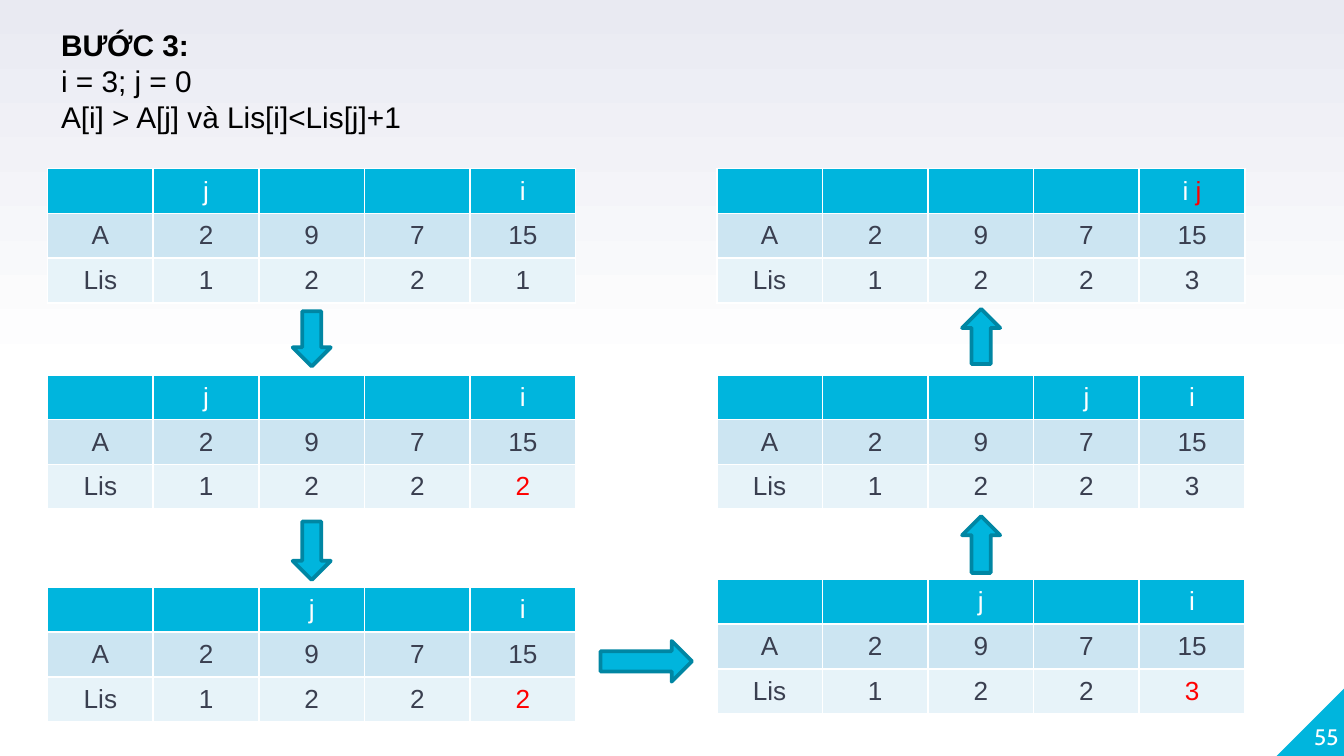
from dataclasses import dataclass

from pptx import Presentation
from pptx.dml.color import RGBColor
from pptx.enum.shapes import MSO_SHAPE
from pptx.enum.text import MSO_ANCHOR, MSO_AUTO_SIZE, PP_ALIGN
from pptx.util import Pt


@dataclass(frozen=True)
class Theme:
    accent: RGBColor = RGBColor(0x00, 0xB5, 0xDD)
    outline: RGBColor = RGBColor(0x00, 0x86, 0xA3)
    array_row: RGBColor = RGBColor(0xCC, 0xE5, 0xF2)
    lis_row: RGBColor = RGBColor(0xE7, 0xF3, 0xF9)
    sky: RGBColor = RGBColor(0xE9, 0xEA, 0xF2)
    white: RGBColor = RGBColor(0xFF, 0xFF, 0xFF)
    black: RGBColor = RGBColor(0x00, 0x00, 0x00)
    body: RGBColor = RGBColor(0x3A, 0x3F, 0x50)
    changed: RGBColor = RGBColor(0xFF, 0x00, 0x00)
    heading_size: int = 16
    cell_size: int = 14
    number_size: int = 12


THEME = Theme()
SLIDE_WIDTH, SLIDE_HEIGHT = 720, 405
LEFT_COLUMN, RIGHT_COLUMN = 25.5, 384
COLUMN_WIDTH, ROW_HEIGHT = 56.6, 24
ARRAY = ["2", "9", "7", "15"]
I_COLUMN = len(ARRAY)


def write_text(paragraph, text, *, size, color, font="Arial", bold=False,
               align=PP_ALIGN.LEFT):
    paragraph.alignment = align
    run = paragraph.add_run()
    run.text = text
    run.font.name = font
    run.font.size = Pt(size)
    run.font.bold = bold
    run.font.color.rgb = color


def paint_background(slide):
    fill = slide.background.fill
    fill.gradient()
    fill.gradient_angle = 90
    stops = [(0.5, THEME.white), (1, THEME.sky)]
    for stop, (position, color) in zip(fill.gradient_stops, stops):
        stop.position = position
        stop.color.rgb = color


def add_heading(slide, lines):
    heading = slide.shapes.title
    heading.left, heading.top = Pt(25.5), Pt(10.8)
    heading.width, heading.height = Pt(269.3), Pt(65.4)
    frame = heading.text_frame
    frame.word_wrap = True
    frame.auto_size = MSO_AUTO_SIZE.SHAPE_TO_FIT_TEXT
    frame.vertical_anchor = MSO_ANCHOR.TOP
    for index, line in enumerate(lines):
        paragraph = frame.add_paragraph() if index else frame.paragraphs[0]
        write_text(paragraph, line, size=THEME.heading_size,
                   color=THEME.black, bold=index == 0)


def add_shape(slide, preset, left, top, width, height, rotation, outlined=True):
    shape = slide.shapes.add_shape(preset, Pt(left), Pt(top), Pt(width), Pt(height))
    shape.shadow.inherit = False
    shape.rotation = rotation
    shape.fill.solid()
    shape.fill.fore_color.rgb = THEME.accent
    if outlined:
        shape.line.color.rgb = THEME.outline
        shape.line.width = Pt(2)
    else:
        shape.line.fill.background()


def add_state_table(slide, left, top, j_column, lis, lis_changed):
    header = [[] for _ in range(I_COLUMN + 1)]
    header[I_COLUMN].append(("i", THEME.white))
    if j_column == I_COLUMN:
        header[I_COLUMN] = [("i ", THEME.white), ("j", THEME.changed)]
    else:
        header[j_column].append(("j", THEME.white))
    array_row = [[(value, THEME.body)] for value in ["A", *ARRAY]]
    lis_row = [[(value, THEME.body)] for value in ["Lis", "1", "2", "2"]]
    lis_row.append([(lis, THEME.changed if lis_changed else THEME.body)])
    rows = [(header, THEME.accent), (array_row, THEME.array_row),
            (lis_row, THEME.lis_row)]

    table = slide.shapes.add_table(
        len(rows), len(header), Pt(left), Pt(top),
        Pt(COLUMN_WIDTH * len(header)), Pt(ROW_HEIGHT * len(rows))).table
    for column in table.columns:
        column.width = Pt(COLUMN_WIDTH)
    for row_index, (values, fill) in enumerate(rows):
        for column_index, parts in enumerate(values):
            cell = table.cell(row_index, column_index)
            cell.margin_top = cell.margin_bottom = 0
            cell.vertical_anchor = MSO_ANCHOR.MIDDLE
            cell.fill.solid()
            cell.fill.fore_color.rgb = fill
            for text, color in parts:
                write_text(cell.text_frame.paragraphs[0], text,
                           size=THEME.cell_size, color=color,
                           align=PP_ALIGN.CENTER)


def add_page_number(slide, number):
    add_shape(slide, MSO_SHAPE.RIGHT_TRIANGLE, 684, 368.2, 36.8, 36.8, 270,
              outlined=False)
    frame = slide.shapes.add_textbox(Pt(681), Pt(365), Pt(36), Pt(36.8)).text_frame
    frame.word_wrap = True
    frame.margin_left = frame.margin_right = 0
    frame.margin_top = frame.margin_bottom = 0
    frame.vertical_anchor = MSO_ANCHOR.BOTTOM
    write_text(frame.paragraphs[0], number, size=THEME.number_size,
               color=THEME.white, font="Cabin", align=PP_ALIGN.RIGHT)


def main():
    presentation = Presentation()
    presentation.slide_width = Pt(SLIDE_WIDTH)
    presentation.slide_height = Pt(SLIDE_HEIGHT)
    slide = presentation.slides.add_slide(presentation.slide_layouts[5])
    paint_background(slide)
    add_page_number(slide, "55")
    add_heading(slide, ["BƯỚC 3:", "i = 3; j = 0", "A[i] > A[j] và Lis[i]<Lis[j]+1"])

    states = [
        (LEFT_COLUMN, 90.3, 1, "1", False),
        (LEFT_COLUMN, 200.8, 1, "2", True),
        (LEFT_COLUMN, 314.7, 2, "2", True),
        (RIGHT_COLUMN, 310.4, 2, "3", True),
        (RIGHT_COLUMN, 200.8, 3, "3", False),
        (RIGHT_COLUMN, 90.3, 4, "3", False),
    ]
    for state in states:
        add_state_table(slide, *state)

    steps = [
        (156.8, 166.8, 20.4, 29.5, 0),
        (156.8, 279.4, 20.4, 31.3, 0),
        (335.3, 329.8, 21.8, 49, 270),
        (515.4, 276.5, 20.4, 30.4, 180),
        (515.4, 165.5, 20.4, 29.5, 180),
    ]
    for step in steps:
        add_shape(slide, MSO_SHAPE.DOWN_ARROW, *step)

    presentation.save("out.pptx")


if __name__ == "__main__":
    main()
